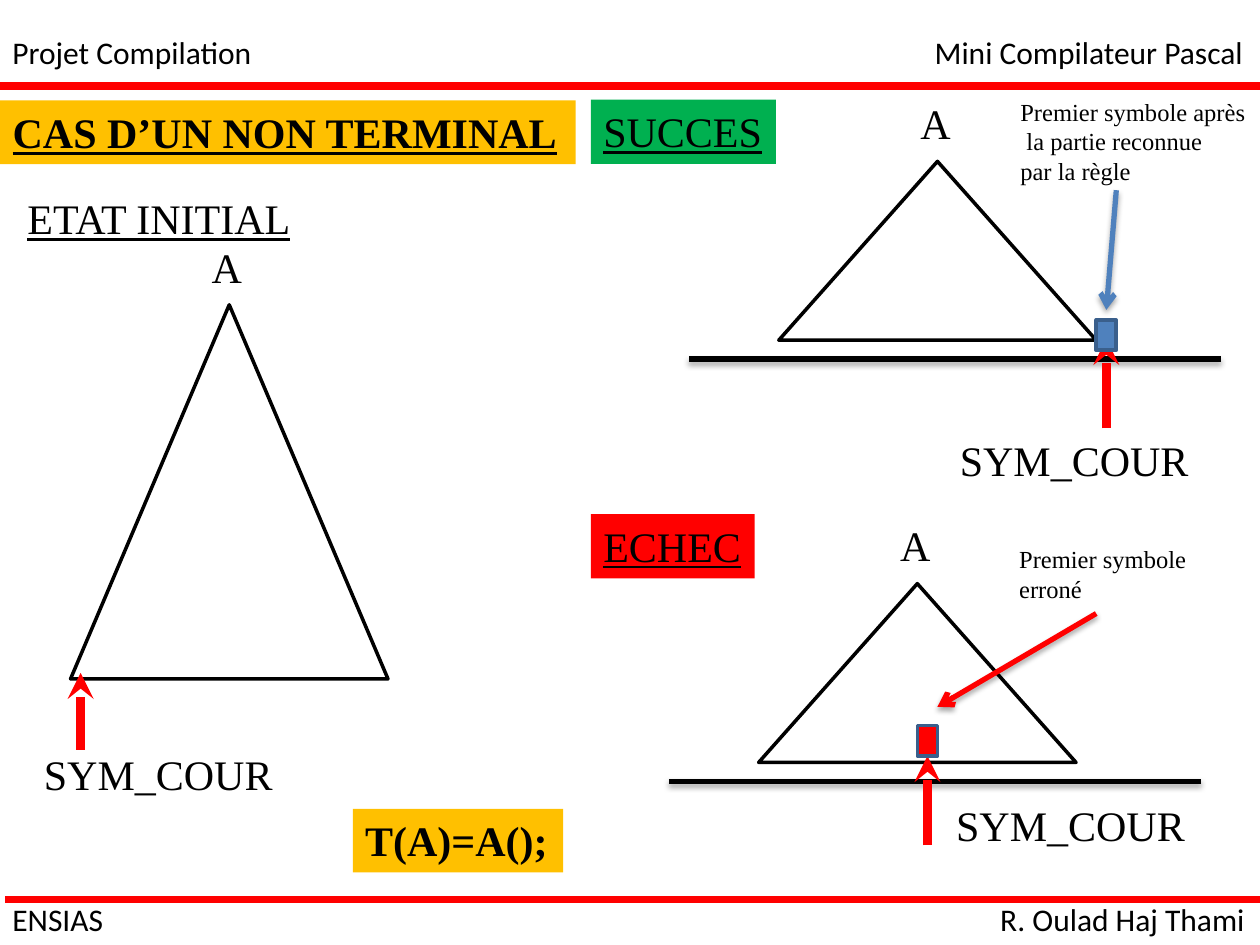
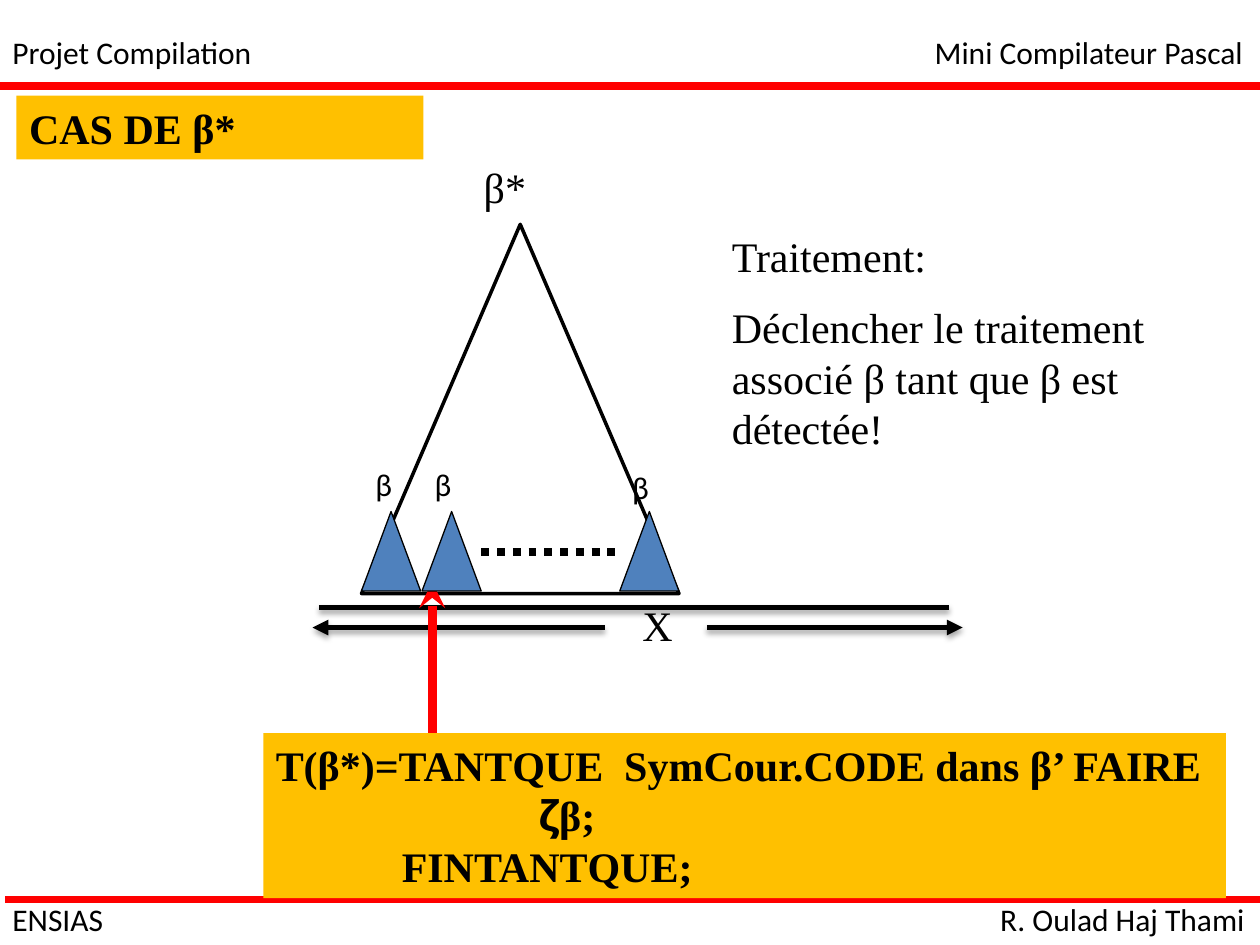
"""Build two slides on syntax-directed treatment in a mini Pascal compiler."""
import itertools
from dataclasses import dataclass
from typing import Any, Optional

import lxml.etree
import pptx
import pptx.dml.color
import pptx.enum.dml
import pptx.enum.shapes
import pptx.enum.text
import pptx.oxml.ns
import pptx.util

COLORS = {
    "black": "000000",
    "red": "FF0000",
    "amber": "FFC000",
    "green": "00B050",
    "blue": "4F81BD",
    "outline": "3A5F8C",
}
SERIF, SANS, SYMBOL = "Times New Roman", "Calibri", "Open Sans"
SPECIAL_FONTS = {"ζ": SYMBOL}
RECTANGLE = pptx.enum.shapes.MSO_SHAPE.RECTANGLE
TRIANGLE = pptx.enum.shapes.MSO_SHAPE.ISOSCELES_TRIANGLE
Point = tuple[float, float]
Box = tuple[float, float, float, float]


@dataclass
class Outcome:
    """One way in which the recognition of a non-terminal can end."""
    tag: str
    tag_color: str
    tag_box: Box
    apex_box: Point
    note: str
    note_box: Box
    note_arrow: tuple[Point, Point]
    mark: Point
    mark_color: str
    pointer_top: float
    pointer_label: Point


OUTCOMES = (
    Outcome("SUCCES", "green", (337.7, 56.9, 105.8, 36.7), (445, 92.2),
            "Premier symbole après\n la partie reconnue\npar la règle",
            (576, 51.8, 144, 58.3), ((637.9, 108.7), (632.2, 177.1)),
            (626.4, 182.9), "blue", 193.7, (541.4, 244.8)),
    Outcome("ECHEC", "red", (337.7, 293.8, 93.6, 36.7), (433.5, 333.5),
            "Premier symbole\nerroné",
            (575.3, 307.4, 114.5, 41), ((626.4, 350.6), (535.7, 403.9)),
            (524.2, 414.7), "red", 432, (539.3, 453.6)),
)


def rgb(name: str) -> pptx.dml.color.RGBColor:
    """Return a named palette colour."""
    return pptx.dml.color.RGBColor.from_string(COLORS[name])


def points(values: tuple[float, ...]) -> list[int]:
    """Convert lengths in points."""
    return [pptx.util.Pt(value) for value in values]


def add_element(parent: Any, tag: str, **attributes: str) -> Any:
    """Append a drawing element to a parent element."""
    return lxml.etree.SubElement(parent, pptx.oxml.ns.qn(tag), attributes)


def write_text(shape: Any, text: str, *, size: float = 24, font: str = SERIF,
               bold: bool = False, underline: bool = False,
               fill: Optional[str] = None, wrap: bool = False,
               space_before: float = 0, indents: tuple[float, ...] = ()) -> None:
    """Fill a shape with formatted text, one paragraph for each line."""
    frame = shape.text_frame
    frame.word_wrap = wrap
    frame.vertical_anchor = pptx.enum.text.MSO_ANCHOR.TOP
    sizes = pptx.enum.text.MSO_AUTO_SIZE
    frame.auto_size = sizes.NONE if wrap else sizes.SHAPE_TO_FIT_TEXT
    if wrap:
        frame.margin_right = pptx.util.Pt(0)
    if fill:
        shape.fill.solid()
        shape.fill.fore_color.rgb = rgb(fill)
    for index, line in enumerate(text.split("\n")):
        paragraph = frame.add_paragraph() if index else frame.paragraphs[0]
        paragraph.alignment = pptx.enum.text.PP_ALIGN.LEFT
        paragraph.space_before = pptx.util.Pt(space_before if index else 0)
        if index < len(indents):
            properties = paragraph._p.get_or_add_pPr()
            properties.set("marL", str(pptx.util.Pt(indents[index])))
        groups = itertools.groupby(line, lambda letter: SPECIAL_FONTS.get(letter, font))
        for name, letters in groups:
            run = paragraph.add_run()
            run.text = "".join(letters)
            run.font.name = name
            run.font.size = pptx.util.Pt(size)
            run.font.bold = bold
            run.font.underline = underline
            run.font.color.rgb = rgb("black")


def add_text(slide: Any, text: str, box: Box, **formatting: Any) -> None:
    """Add a text box."""
    write_text(slide.shapes.add_textbox(*points(box)), text, **formatting)


def add_shape(slide: Any, kind: Any, box: Box, *, fill: Optional[str] = None,
              line: str = "black", width: float = 2) -> None:
    """Add an outlined preset shape."""
    shape = slide.shapes.add_shape(kind, *points(box))
    shape.shadow.inherit = False
    if fill:
        shape.fill.solid()
        shape.fill.fore_color.rgb = rgb(fill)
    else:
        shape.fill.background()
    shape.line.color.rgb = rgb(line)
    shape.line.width = pptx.util.Pt(width)


def add_line(slide: Any, start: Point, end: Point, *, color: str = "black",
             width: float = 3, arrow: Optional[str] = None,
             dotted: bool = False, shadow: bool = False) -> None:
    """Add a straight line with an optional arrowhead at its end."""
    straight = pptx.enum.shapes.MSO_CONNECTOR.STRAIGHT
    connector = slide.shapes.add_connector(straight, *points(start + end))
    connector.line.color.rgb = rgb(color)
    connector.line.width = pptx.util.Pt(width)
    if dotted:
        connector.line.dash_style = pptx.enum.dml.MSO_LINE.ROUND_DOT
    if arrow:
        add_element(connector.line._get_or_add_ln(), "a:tailEnd", type=arrow)
    effects = add_element(connector._element.spPr, "a:effectLst")
    if shadow:
        outer = add_element(effects, "a:outerShdw", blurRad="40000", dist="23000",
                            dir="5400000", rotWithShape="0")
        shade = add_element(outer, "a:srgbClr", val=COLORS["black"])
        add_element(shade, "a:alpha", val="35000")


def add_pointer(slide: Any, x: float, top: float, bottom: float) -> None:
    """Add the red arrow that points up at the current symbol."""
    add_line(slide, (x, bottom), (x, top), color="red", width=5, arrow="stealth")


def add_slide(presentation: Any, title: str, box: Box, underline: bool = False) -> Any:
    """Add a slide with its title band, rules, header and footer."""
    slide = presentation.slides.add_slide(presentation.slide_layouts[5])
    shape = slide.shapes.title
    shape.left, shape.top, shape.width, shape.height = points(box)
    write_text(shape, title, bold=True, underline=underline, fill="amber", wrap=True)
    add_line(slide, (0, 49), (720, 49), color="red", width=4.5)
    add_line(slide, (3, 514), (723, 514), color="red", width=4.5)
    for text, left, top, width in (
        ("Projet Compilation", 0, 15.1, 152.6),
        ("Mini Compilateur Pascal", 527, 15.1, 193),
        ("ENSIAS", 0, 511, 67),
        ("R. Oulad Haj Thami", 564.5, 511, 155.5),
    ):
        add_text(slide, text, (left, top, width, 29), size=18, font=SANS)
    return slide


def add_outcome(slide: Any, outcome: Outcome) -> None:
    """Draw the tree, the current symbol and the note of an outcome."""
    left, top = outcome.apex_box
    mark_left, mark_top = outcome.mark
    baseline = top + 113
    add_line(slide, (left - 51.2, baseline), (left + 252.6, baseline), shadow=True)
    add_shape(slide, TRIANGLE, (left, top, 181.4, 102.2))
    add_text(slide, "A", (left + 73.8, top - 40, 32, 36.5))
    add_pointer(slide, mark_left + 5.8, outcome.pointer_top, outcome.pointer_top + 51.1)
    add_text(slide, "SYM_COUR", outcome.pointer_label + (146.9, 36.5))
    add_shape(slide, RECTANGLE, (mark_left, mark_top, 11.5, 17.3),
              fill=outcome.mark_color, line="outline")
    add_text(slide, outcome.note, outcome.note_box, size=14)
    add_line(slide, *outcome.note_arrow, color=outcome.mark_color,
             arrow="arrow", shadow=True)
    add_text(slide, outcome.tag, outcome.tag_box, underline=True, fill=outcome.tag_color)


def build_non_terminal(presentation: Any) -> None:
    """Build the slide on a non-terminal."""
    slide = add_slide(presentation, "CAS D’UN NON TERMINAL", (0, 57.4, 329, 36.4), True)
    add_text(slide, "ETAT INITIAL", (8.6, 106.6, 166.3, 36.5), underline=True)
    add_shape(slide, TRIANGLE, (40.3, 174.2, 181.4, 213.8))
    add_text(slide, "A", (113.8, 134.6, 32, 36.5))
    add_pointer(slide, 46.1, 384.5, 428.4)
    add_text(slide, "SYM_COUR", (18, 424.1, 146.9, 36.5))
    add_text(slide, "T(A)=A();", (201.6, 462.2, 120.2, 36.4), bold=True, fill="amber")
    for outcome in OUTCOMES:
        add_outcome(slide, outcome)


def build_repetition(presentation: Any) -> None:
    """Build the slide on a repeated construct."""
    slide = add_slide(presentation, "CAS DE β*", (9.4, 54.7, 232.6, 36.4))
    add_line(slide, (182.2, 347), (542.2, 347), shadow=True)
    add_shape(slide, TRIANGLE, (206.6, 128.2, 181.4, 211))
    add_text(slide, "β*", (269.3, 88.6, 39.6, 36.4))
    add_text(slide, "X", (360, 339.1, 31.7, 36.4))
    for start, end in ((345.6, 178.6), (403.9, 550.1)):
        add_line(slide, (start, 358.6), (end, 358.6), arrow="triangle", shadow=True)
    add_pointer(slide, 247, 332.6, 434.2)
    add_text(slide, "Traitement:\nDéclencher le traitement associé β tant que β est détectée!",
             (411.1, 128.2, 248.4, 136.8), wrap=True, space_before=12)
    for left, label_left, label_top in (
        (206.6, 207.4, 262.1), (241.2, 241.2, 262.1), (354.2, 354.2, 264.2),
    ):
        add_shape(slide, TRIANGLE, (left, 292.3, 33.8, 45.4), fill="blue", width=0.75)
        add_text(slide, "β", (label_left, label_top, 27.4, 36), size=18, font=SANS)
    add_line(slide, (275, 315.4), (354.2, 315.4), width=4.5, dotted=True)
    add_text(slide, "T(β*)=TANTQUE  SymCour.CODE dans β’ FAIRE\nζβ;\nFINTANTQUE;",
             (150.5, 419, 550, 94.3), bold=True, fill="amber", wrap=True,
             indents=(0, 150, 72))


def main() -> None:
    """Build and save the presentation."""
    presentation = pptx.Presentation()
    presentation.slide_width = pptx.util.Pt(720)
    presentation.slide_height = pptx.util.Pt(540)
    build_non_terminal(presentation)
    build_repetition(presentation)
    presentation.save("out.pptx")


main()
